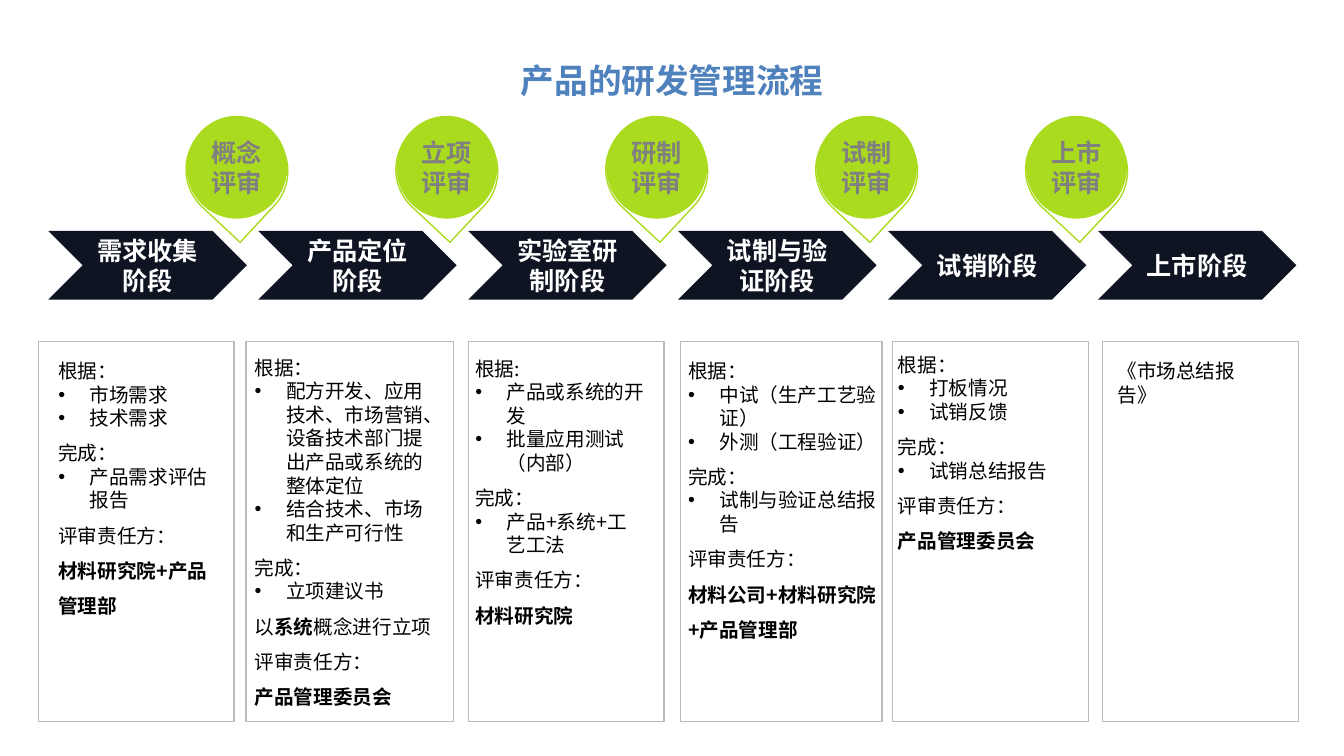
from lxml import etree
from pptx import Presentation
from pptx.dml.color import RGBColor
from pptx.enum.shapes import MSO_SHAPE
from pptx.enum.text import MSO_ANCHOR, MSO_AUTO_SIZE, PP_ALIGN
from pptx.oxml.ns import qn
from pptx.util import Cm, Pt

CHEVRON, TEARDROP = MSO_SHAPE.CHEVRON, MSO_SHAPE.TEAR
OVAL, RECTANGLE = MSO_SHAPE.OVAL, MSO_SHAPE.RECTANGLE
LEFT, CENTER = PP_ALIGN.LEFT, PP_ALIGN.CENTER
TOP, MIDDLE = MSO_ANCHOR.TOP, MSO_ANCHOR.MIDDLE
GROW = MSO_AUTO_SIZE.SHAPE_TO_FIT_TEXT

# Content
COLORS = {"navy": "0F1423", "lime": "AADB1E", "border": "BBBBBB", "title": "4F81BD",
          "white": "FFFFFF", "gray": "808080", "black": "000000"}
LATIN, CJK = "Arial", "Noto Sans CJK SC"
TITLE = "产品的研发管理流程"
STAGES = ["需求收集阶段", "产品定位阶段", "实验室研制阶段", "试制与验证阶段", "试销阶段", "上市阶段"]
REVIEWS = ["概念评审", "立项评审", "研制评审", "试制评审", "上市评审"]

# Paragraphs are (style, text); words between asterisks are bold
NOTES = [
    [("plain", "根据："), ("bullet", "市场需求"), ("bullet", "技术需求"),
     ("hanging", "完成："), ("bullet", "产品需求评估报告"),
     ("spaced", "评审责任方："), ("spaced", "*材料研究院+产品管理部*")],
    [("plain", "根据："),
     ("bullet", "配方开发、应用技术、市场营销、设备技术部门提出产品或系统的整体定位"),
     ("bullet", "结合技术、市场和生产可行性"),
     ("hanging", "完成："), ("bullet", "立项建议书"),
     ("spaced", "以*系统*概念进行立项"),
     ("spaced", "评审责任方："), ("spaced", "*产品管理委员会*")],
    [("plain", "根据:"), ("bullet", "产品或系统的开发"), ("bullet", "批量应用测试（内部）"),
     ("spaced", "完成："), ("bullet", "产品+系统+工艺工法"),
     ("spaced", "评审责任方："), ("spaced", "*材料研究院*")],
    [("plain", "根据："), ("bullet", "中试（生产工艺验证）"), ("bullet", "外测（工程验证）"),
     ("spaced", "完成："), ("bullet", "试制与验证总结报告"),
     ("spaced", "评审责任方："), ("spaced", "*材料公司+材料研究院+产品管理部*")],
    [("plain", "根据："), ("bullet", "打板情况"), ("bullet", "试销反馈"),
     ("spaced", "完成："), ("bullet", "试销总结报告"),
     ("spaced", "评审责任方："), ("spaced", "*产品管理委员会*")],
    [("plain", "《市场总结报告》")],
]

# Layout in centimetres
PITCH = 5.29
STAGE_LEFT, STAGE_TOP, STAGE_SIZE = 1.22, 5.82, (5.0, 1.73)
PIN_LEFT, PIN_TOP, DISC_TOP, PIN_SIZE = 4.7, 3.0, 2.92, (2.54, 2.59)
CARD_TOP, CARD_HEIGHT = 8.61, 9.58
CARDS = [(0.97, 4.93), (6.2, 5.23), (11.81, 4.93),
         (17.15, 5.08), (22.5, 4.93), (27.79, 4.93)]  # left, width
NOTE_BOXES = [(1.22, 8.92, 4.42, 6.83), (6.17, 8.84, 5.16, 9.22),
              (11.73, 8.86, 4.78, 7.14), (17.09, 8.92, 5.33, 7.44),
              (22.38, 8.76, 4.72, 5.33), (27.91, 8.92, 4.42, 0.86)]
INDENT = 0.79


def rgb(name):
    return RGBColor.from_string(COLORS[name])


def add_span(para, text, size, color, bold, latin):
    span = para.add_run()
    span.text = text
    font = span.font
    font.size, font.bold, font.name = Pt(size), bold, latin
    font.color.rgb = rgb(color)
    east_asian = etree.SubElement(font._element, qn("a:ea"))
    east_asian.set("typeface", CJK)


def add_shape(page, kind, left, top, size, fill=None, line=None):
    shape = page.shapes.add_shape(kind, Cm(left), Cm(top), Cm(size[0]), Cm(size[1]))
    shape.shadow.inherit = False
    if fill:
        shape.fill.solid()
        shape.fill.fore_color.rgb = rgb(fill)
    else:
        shape.fill.background()
    if line:
        shape.line.color.rgb = rgb(line)
        shape.line.width = Pt(1)
    else:
        shape.line.fill.background()
    return shape


def add_label(shape, text, color):
    frame = shape.text_frame
    frame.word_wrap = True
    frame.vertical_anchor = MIDDLE
    para = frame.paragraphs[0]
    para.alignment = CENTER
    add_span(para, text, 18, color, True, LATIN)


def add_text_box(page, left, top, width, height):
    box = page.shapes.add_textbox(Cm(left), Cm(top), Cm(width), Cm(height))
    frame = box.text_frame
    frame.word_wrap = True
    frame.auto_size = GROW
    frame.vertical_anchor = TOP
    return frame


def add_note(frame, paragraphs):
    for index, (style, text) in enumerate(paragraphs):
        para = frame.add_paragraph() if index else frame.paragraphs[0]
        para.alignment = LEFT
        if style in ("spaced", "hanging"):
            para.line_spacing = 1.5
        properties = para._p.get_or_add_pPr()
        if style in ("bullet", "hanging"):
            properties.set("marL", str(Cm(INDENT)))
            properties.set("indent", str(-Cm(INDENT)))
        if style == "bullet":
            etree.SubElement(properties, qn("a:buFont")).set("typeface", LATIN)
            etree.SubElement(properties, qn("a:buChar")).set("char", "•")
        for part, words in enumerate(text.split("*")):
            if words:
                add_span(para, words, 14, "black", part % 2 == 1, CJK)


def main():
    deck = Presentation()
    deck.slide_width, deck.slide_height = Cm(33.87), Cm(19.05)
    page = deck.slides.add_slide(deck.slide_layouts[6])

    # Stage arrows
    for column, stage in enumerate(STAGES):
        arrow = add_shape(page, CHEVRON, STAGE_LEFT + column * PITCH, STAGE_TOP,
                          STAGE_SIZE, fill="navy")
        add_label(arrow, stage, "white")

    # Review pins
    for column, review in enumerate(REVIEWS):
        left = PIN_LEFT + column * PITCH
        pin = add_shape(page, TEARDROP, left, PIN_TOP, PIN_SIZE, line="lime")
        pin.rotation = 133
        disc = add_shape(page, OVAL, left, DISC_TOP, PIN_SIZE, fill="lime")
        disc.text_frame.margin_left = disc.text_frame.margin_right = 0
        add_label(disc, review, "gray")

    # Stage cards with notes
    for (left, width), bounds, paragraphs in zip(CARDS, NOTE_BOXES, NOTES):
        add_shape(page, RECTANGLE, left, CARD_TOP, (width, CARD_HEIGHT), line="border")
        add_note(add_text_box(page, *bounds), paragraphs)

    # Title
    frame = add_text_box(page, 4.95, 1.5, 23.98, 1.02)
    frame.margin_left = frame.margin_right = frame.margin_top = frame.margin_bottom = 0
    para = frame.paragraphs[0]
    para.alignment = CENTER
    add_span(para, TITLE, 24, "title", True, CJK)

    deck.save("out.pptx")


if __name__ == "__main__":
    main()
